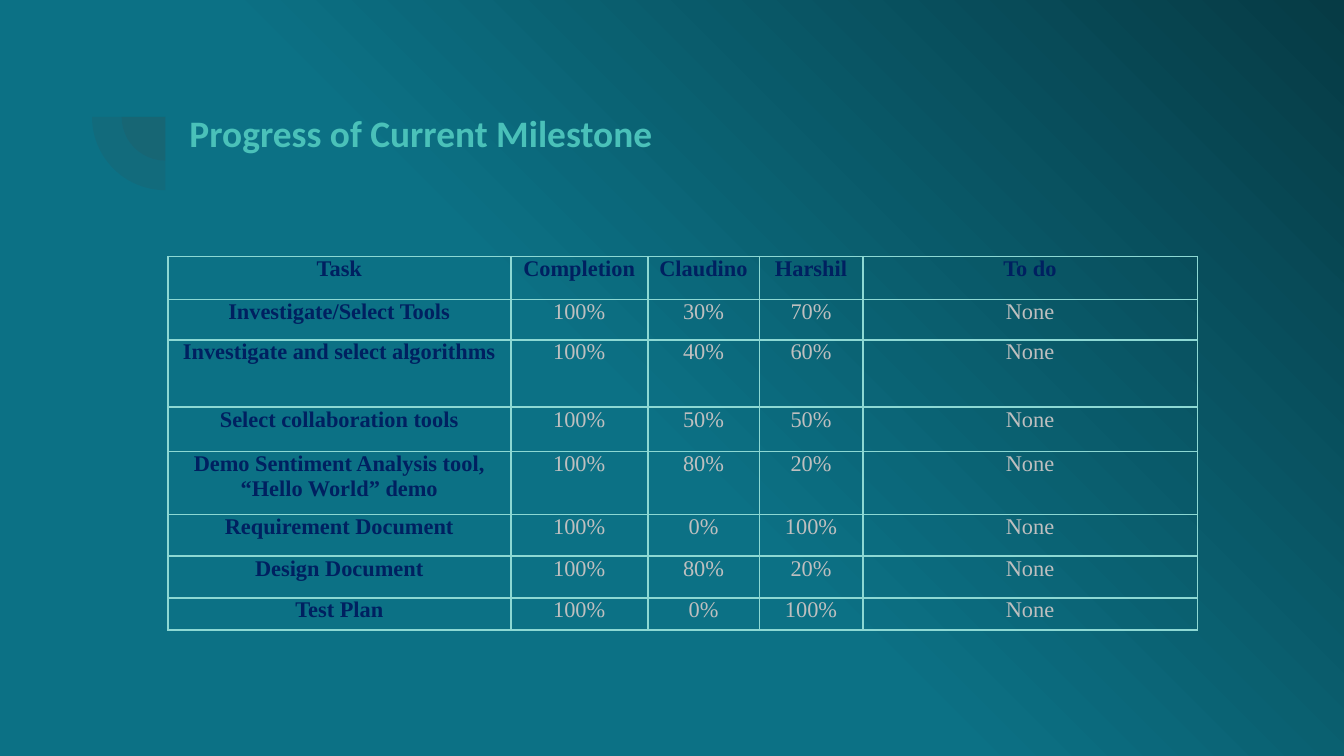
from lxml import etree
from pptx import Presentation
from pptx.dml.color import RGBColor
from pptx.enum.shapes import MSO_SHAPE
from pptx.enum.text import MSO_ANCHOR, PP_ALIGN
from pptx.oxml import parse_xml
from pptx.oxml.ns import nsdecls, qn
from pptx.util import Inches, Pt

PIE, TOP = MSO_SHAPE.PIE, MSO_ANCHOR.TOP
LEFT, CENTER = PP_ALIGN.LEFT, PP_ALIGN.CENTER

COLORS = {"teal": "0C7185", "deep": "063B45", "gray": "424242", "title": "4AC1B9",
          "border": "8DD8D3", "label": "002060", "value": "BFBFBF"}
TITLE_FONT = {"name": "Calibri", "size": Pt(20), "bold": True}
LABEL_FONT = {"name": "Times New Roman", "size": Pt(12), "bold": True}
VALUE_FONT = {**LABEL_FONT, "bold": False}

COLUMNS = [2.55, 1.02, 0.83, 0.77, 2.49]
ROWS = [0.32, 0.3, 0.5, 0.33, 0.47, 0.31, 0.31, 0.24]
PROGRESS = [
    ["Task", "Completion", "Claudino", "Harshil", "To do"],
    ["Investigate/Select Tools", "100%", "30%", "70%", "None"],
    ["Investigate and select algorithms", "100%", "40%", "60%", "None"],
    ["Select collaboration tools", "100%", "50%", "50%", "None"],
    ["Demo Sentiment Analysis tool, “Hello World” demo", "100%", "80%", "20%", "None"],
    ["Requirement Document", "100%", "0%", "100%", "None"],
    ["Design Document", "100%", "80%", "20%", "None"],
    ["Test Plan", "100%", "0%", "100%", "None"],
]


def write(tf, text, font, color, align):
    p = tf.paragraphs[0]
    p.alignment = align
    r = p.add_run()
    r.text = text
    for name, value in font.items():
        setattr(r.font, name, value)
    r.font.color.rgb = RGBColor.from_string(COLORS[color])


def set_margins(box, x, y):
    for side, gap in {"left": x, "right": x, "top": y, "bottom": y}.items():
        setattr(box, f"margin_{side}", Inches(gap))


def add_background(slide):
    """Radial gradient centred on the bottom left corner."""
    slide._element.cSld.insert(0, parse_xml(
        f'<p:bg {nsdecls("p", "a")}><p:bgPr><a:gradFill rotWithShape="1"><a:gsLst>'
        f'<a:gs pos="0"><a:srgbClr val="{COLORS["teal"]}"><a:alpha val="85000"/></a:srgbClr></a:gs>'
        f'<a:gs pos="46000"><a:srgbClr val="{COLORS["teal"]}"/></a:gs>'
        f'<a:gs pos="100000"><a:srgbClr val="{COLORS["deep"]}"/></a:gs></a:gsLst>'
        '<a:path path="circle"><a:fillToRect t="100000" r="100000"/></a:path>'
        '</a:gradFill><a:effectLst/></p:bgPr></p:bg>'))


def add_quarters(slide, cx, cy):
    """Two translucent quarter discs around one centre."""
    for size in (0.65, 1.09):
        sp = slide.shapes.add_shape(PIE, Inches(cx - size / 2), Inches(cy - size / 2),
                                    Inches(size), Inches(size))
        sp.adjustments[0], sp.adjustments[1] = 108, 162
        sp.rotation = 270
        sp.shadow.inherit = False
        sp.fill.solid()
        sp.fill.fore_color.rgb = RGBColor.from_string(COLORS["gray"])
        color = sp._element.spPr.find(qn("a:solidFill"))[0]
        etree.SubElement(color, qn("a:alpha")).set("val", "12000")
        sp.line.fill.background()


def place_title(slide, x, y, w, h):
    sp = slide.shapes.title
    sp.left, sp.top, sp.width, sp.height = (Inches(v) for v in (x, y, w, h))
    slide.shapes._spTree.append(sp._element)  # in front of the quarter discs
    tf = sp.text_frame
    tf.word_wrap = True
    tf.vertical_anchor = TOP
    set_margins(tf, 0.1, 0.1)
    write(tf, "Progress of Current Milestone", TITLE_FONT, "title", LEFT)


def add_borders(cell):
    tcPr = cell._tc.get_or_add_tcPr()
    for side in "LRTB":
        tcPr.append(parse_xml(
            f'<a:ln{side} {nsdecls("a")} w="{Pt(1)}"><a:solidFill>'
            f'<a:srgbClr val="{COLORS["border"]}"/></a:solidFill></a:ln{side}>'))


def add_progress_table(slide, x, y):
    table = slide.shapes.add_table(len(ROWS), len(COLUMNS), Inches(x), Inches(y),
                                   Inches(sum(COLUMNS)), Inches(sum(ROWS))).table
    table.first_row = table.horz_banding = False
    for column, width in zip(table.columns, COLUMNS):
        column.width = Inches(width)
    for i, (row, height) in enumerate(zip(table.rows, ROWS)):
        row.height = Inches(height)
        for j, cell in enumerate(row.cells):
            is_label = i == 0 or j == 0
            set_margins(cell, 0.07, 0)
            add_borders(cell)
            cell.fill.background()
            write(cell.text_frame, PROGRESS[i][j], LABEL_FONT if is_label else VALUE_FONT,
                  "label" if is_label else "value", CENTER)


def main():
    prs = Presentation()
    prs.slide_width = Inches(10)
    prs.slide_height = prs.slide_width * 9 // 16
    slide = prs.slides.add_slide(prs.slide_layouts[5])
    add_background(slide)
    add_quarters(slide, 1.23, 0.87)
    place_title(slide, 1.31, 0.72, 7.69, 1.09)
    add_progress_table(slide, 1.25, 1.91)
    prs.save("out.pptx")


if __name__ == "__main__":
    main()
